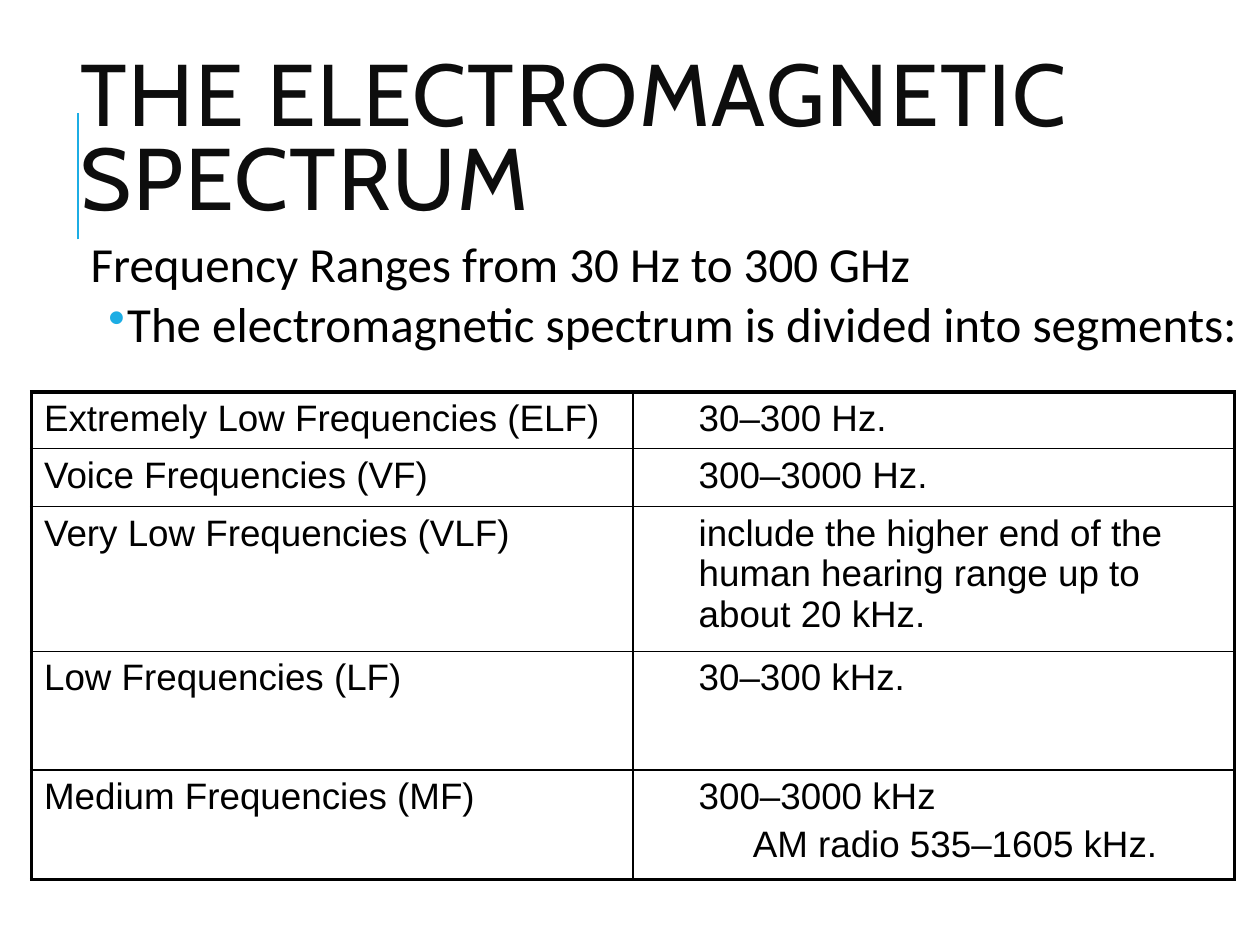
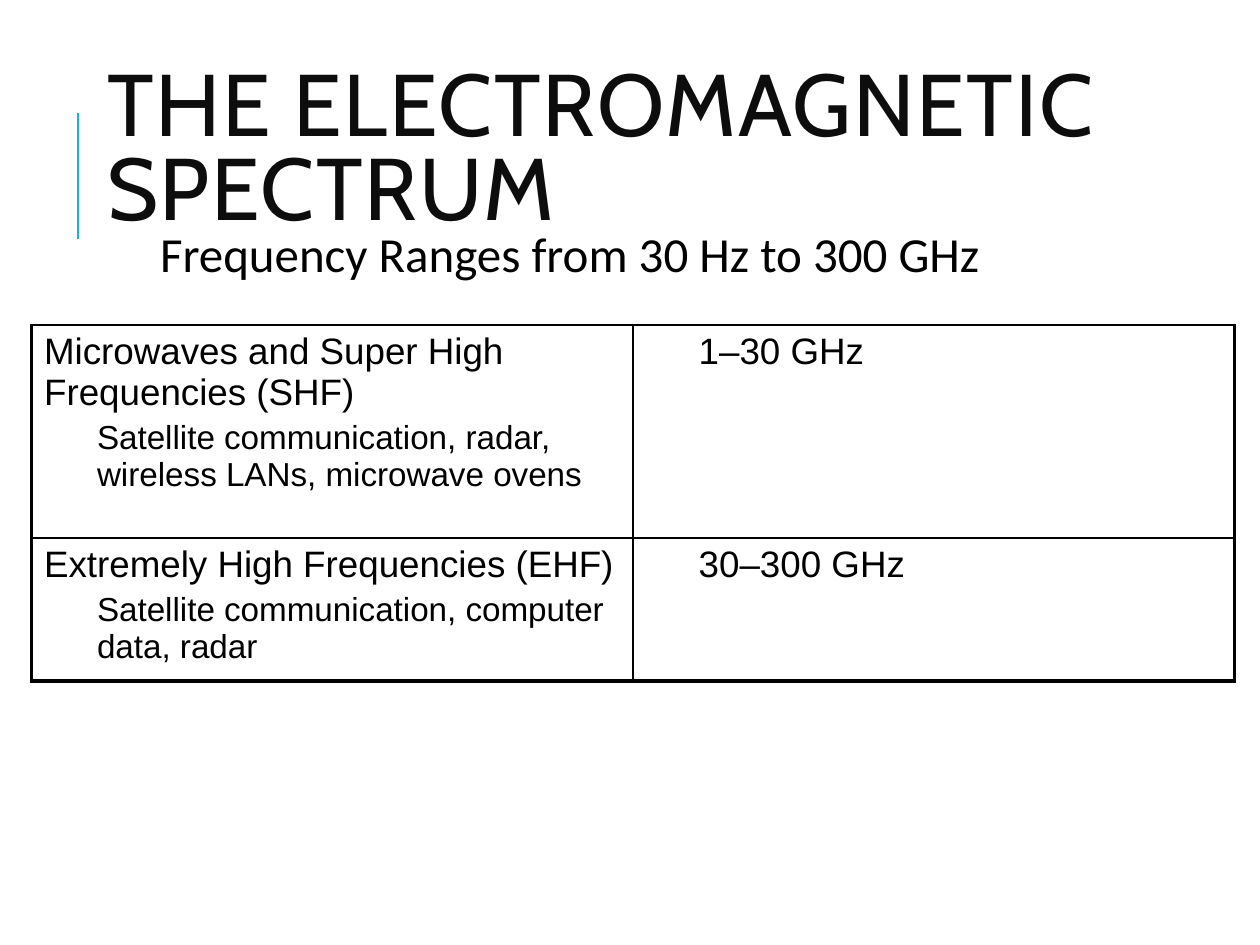
import pptx
import pptx.util
import pptx.dml.color
import pptx.enum.shapes
import pptx.enum.text
import pptx.oxml
import pptx.oxml.ns

INK = "000000"
TITLE_INK = "0D0D0D"
ACCENT = "1CADE4"
TITLE = "THE ELECTROMAGNETIC SPECTRUM"
RANGE = "Frequency Ranges from 30 Hz to 300 GHz"
TABLE_LEFT, TABLE_WIDTH = 0.25, 9.55
OUTER, INNER = 2.25, 1
LEVEL_INDENT = (0, 0.42, 0.85)

SEGMENTS = [
    (0.43, [("Extremely Low Frequencies (ELF)", 0, 21)], [("30–300 Hz.", 1, 21)]),
    (0.46, [("Voice Frequencies (VF)", 0, 21)], [("300–3000 Hz.", 1, 21)]),
    (1.07, [("Very Low Frequencies (VLF)", 0, 21)],
     [("include the higher end of the human hearing range up to about 20 kHz.", 1, 21)]),
    (0.94, [("Low Frequencies (LF)", 0, 21)], [("30–300 kHz.", 1, 21)]),
    (0.87, [("Medium Frequencies (MF)", 0, 21)],
     [("300–3000 kHz", 1, 21), ("AM radio 535–1605 kHz.", 2, 21)]),
]
HIGH_SEGMENTS = [
    (1.69, [("Microwaves and Super High Frequencies (SHF)", 0, 21),
            ("Satellite communication, radar, wireless LANs, microwave ovens", 1, 19)],
     [("1–30 GHz", 1, 21)]),
    (1.06, [("Extremely High Frequencies (EHF)", 0, 21),
            ("Satellite communication, computer data, radar", 1, 19)],
     [("30–300 GHz", 1, 21)]),
]


def inches(*lengths):
    """Convert lengths in inches to a list of slide units."""
    return [pptx.util.Inches(length) for length in lengths]


def color(value):
    """Turn a hex string into a colour."""
    return pptx.dml.color.RGBColor.from_string(value)


def make(tag, parent, **attributes):
    """Append a DrawingML element to a parent and return it."""
    child = parent.makeelement(pptx.oxml.ns.qn(tag), attributes)
    parent.append(child)
    return child


def write(frame, text, size=21, font="Arial", ink=INK, level=0, margin=0, indent=0,
          line=None, before=0, after=0, bullet=None, tracking=None):
    """Write one formatted paragraph, filling the empty first one if there is one."""
    para = frame.paragraphs[0]
    if para.runs:
        para = frame.add_paragraph()
    para.level = level
    para.alignment = pptx.enum.text.PP_ALIGN.LEFT
    para.line_spacing = line
    para.space_before, para.space_after = pptx.util.Pt(before), pptx.util.Pt(after)
    properties = para._p.get_or_add_pPr()
    properties.set("marL", str(pptx.util.Inches(margin)))
    properties.set("indent", str(pptx.util.Inches(indent)))
    if bullet:
        make("a:srgbClr", make("a:buClr", properties), val=ACCENT)
        make("a:buChar", properties, char=bullet)
    else:
        make("a:buNone", properties)
    span = para.add_run()
    span.text = text
    span.font.size = pptx.util.Pt(size)
    span.font.name = font
    span.font.color.rgb = color(ink)
    if tracking:
        span._r.get_or_add_rPr().set("spc", str(tracking * 100))


def add_titled_page(deck, left, top, width):
    """Add a page with the accent rule and the title."""
    page = deck.slides.add_slide(deck.slide_layouts[5])
    rule = page.shapes.add_connector(
        pptx.enum.shapes.MSO_CONNECTOR.STRAIGHT, *inches(0.62, 1.9, 0.62, 0.9))
    rule.line.color.rgb = color(ACCENT)
    rule.line.width = pptx.util.Pt(1.5)
    make("a:effectLst", rule._element.spPr)
    title = page.shapes.title
    title.left, title.top, title.width, title.height = inches(left, top, width, 1.23)
    frame = title.text_frame
    frame.word_wrap = True
    frame.auto_size = pptx.enum.text.MSO_AUTO_SIZE.NONE
    frame.vertical_anchor = pptx.enum.text.MSO_ANCHOR.MIDDLE
    write(frame, TITLE, size=50, font="Cabin", ink=TITLE_INK, line=0.8, tracking=1)
    return page


def add_body(page, left, top, width, height, point=None):
    """Add the frequency range line and an optional bullet point."""
    box = page.shapes.add_textbox(*inches(left, top, width, height))
    frame = box.text_frame
    frame.word_wrap = True
    frame.margin_left, frame.margin_top, frame.margin_right, frame.margin_bottom = inches(
        *[0.05] * 4)
    style = {"size": 28, "font": "Calibri", "line": 0.9}
    write(frame, RANGE, margin=0.1, indent=-0.1, before=12, after=2, **style)
    if point:
        write(frame, point, level=1, margin=0.29, indent=-0.15, before=2, after=4,
              bullet="•", **style)


def set_borders(cell, widths):
    """Draw the left, right, top and bottom borders of a cell."""
    properties = cell._tc.get_or_add_tcPr()
    for position, (side, width) in enumerate(zip("LRTB", widths)):
        border = properties.makeelement(
            pptx.oxml.ns.qn(f"a:ln{side}"), {"w": str(pptx.util.Pt(width))})
        make("a:srgbClr", make("a:solidFill", border), val=INK)
        properties.insert(position, border)


def add_segments(page, top, segments, top_border):
    """Add the table of spectrum segments and their ranges."""
    height = sum(segment[0] for segment in segments)
    table = page.shapes.add_table(
        len(segments), 2, *inches(TABLE_LEFT, top, TABLE_WIDTH, height)).table
    table.first_row = table.horz_banding = False
    last = len(segments) - 1
    for row, (row_height, *contents) in enumerate(segments):
        table.rows[row].height = pptx.util.Inches(row_height)
        for column, lines in enumerate(contents):
            cell = table.cell(row, column)
            cell.fill.background()
            set_borders(cell, (OUTER if column == 0 else INNER,
                               OUTER if column == 1 else INNER,
                               top_border if row == 0 else INNER,
                               OUTER if row == last else INNER))
            for text, level, size in lines:
                write(cell.text_frame, text, size=size, level=level,
                      margin=LEVEL_INDENT[level], before=size * 0.2)


def main():
    """Build and save the deck."""
    deck = pptx.Presentation()
    deck.slide_width, deck.slide_height = inches(10, 7.5)

    page = add_titled_page(deck, 0.54, 0.52, 9.46)
    add_body(page, 0.67, 1.86, 9.33, 1.3,
             "The electromagnetic spectrum is divided into segments:")
    add_segments(page, 3.11, SEGMENTS, OUTER)

    page = add_titled_page(deck, 0.75, 0.6, 8.98)
    add_body(page, 1.22, 1.78, 6.81, 0.64)
    add_segments(page, 2.58, HIGH_SEGMENTS, INNER)

    deck.save("out.pptx")


if __name__ == "__main__":
    main()
